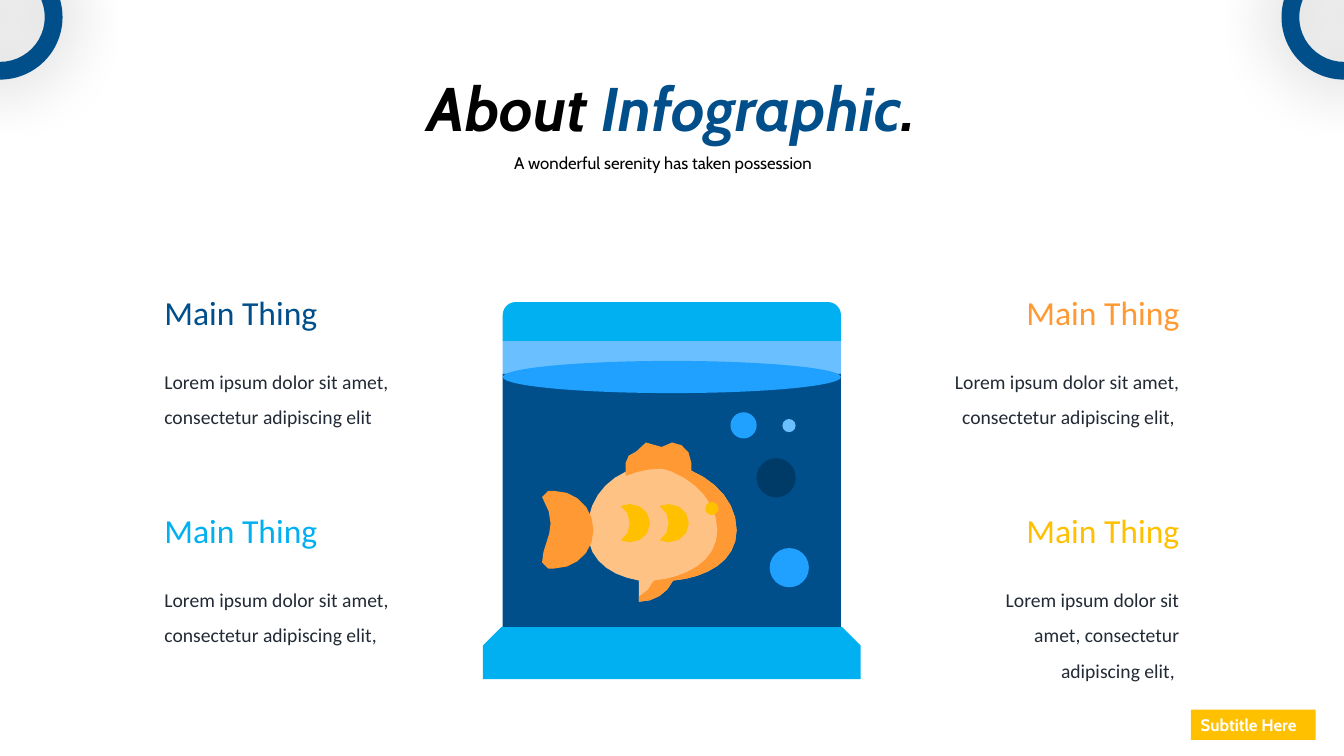
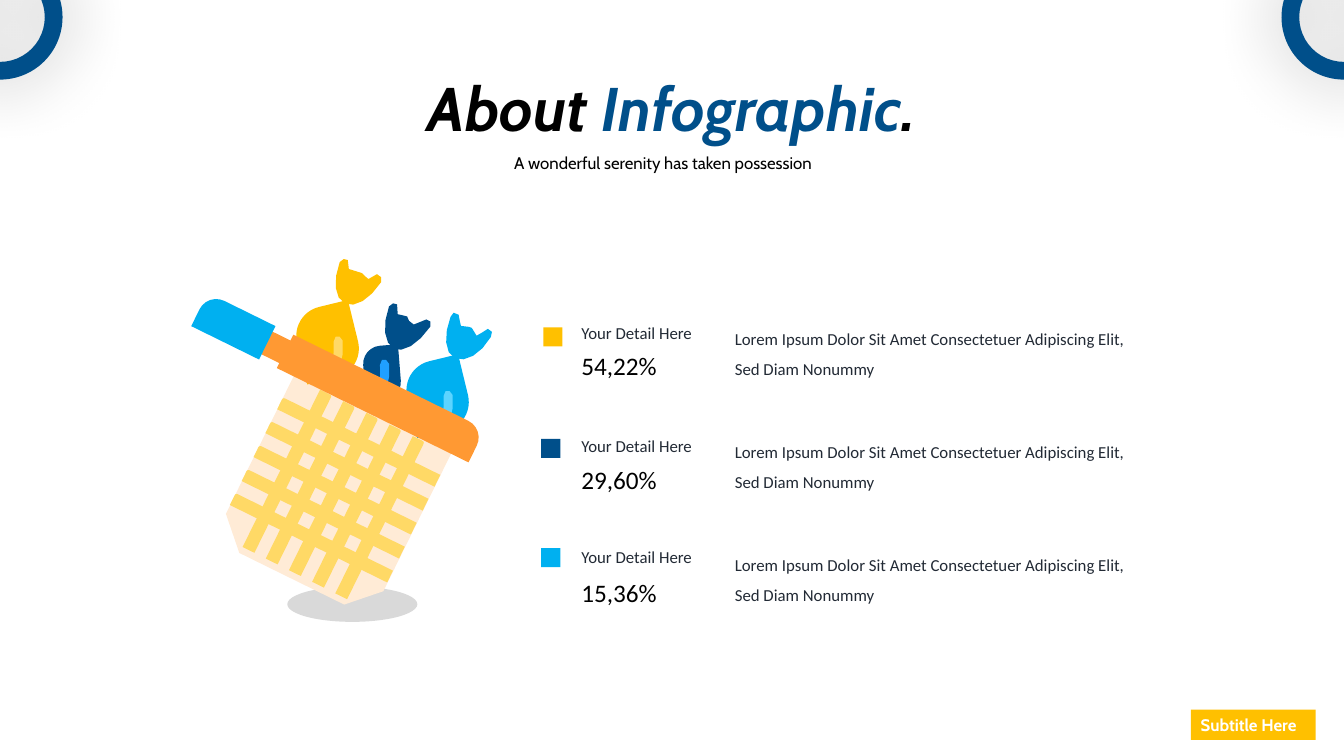
from dataclasses import dataclass
from math import ceil, dist
from typing import NamedTuple

from lxml import etree
from pptx import Presentation
from pptx.dml.color import RGBColor
from pptx.enum.shapes import MSO_SHAPE
from pptx.enum.text import MSO_ANCHOR, MSO_AUTO_SIZE, PP_ALIGN
from pptx.oxml.ns import qn
from pptx.presentation import Presentation as Deck
from pptx.shapes.autoshape import Shape
from pptx.slide import Slide
from pptx.text.text import _Paragraph as Para
from pptx.util import Pt

RECT = MSO_SHAPE.RECTANGLE
OVAL = MSO_SHAPE.OVAL
DONUT = MSO_SHAPE.DONUT
SNIP = MSO_SHAPE.SNIP_2_SAME_RECTANGLE
ROUND = MSO_SHAPE.ROUND_1_RECTANGLE
DOME = MSO_SHAPE.ROUND_2_SAME_RECTANGLE
DROP = MSO_SHAPE.ROUND_2_DIAG_RECTANGLE
LEFT, MID, RIGHT = PP_ALIGN.LEFT, PP_ALIGN.CENTER, PP_ALIGN.RIGHT
TOP = MSO_ANCHOR.TOP
FIXED = MSO_AUTO_SIZE.NONE

COLORS = {
    "black": "000000", "white": "FFFFFF", "ink": "222A35", "grey": "D9D9D9",
    "navy": "004F8A", "deep": "003B68", "cyan": "00B0F0", "aqua": "5DD4FF",
    "blue": "20A0FF", "pale": "6ABFFF", "orange": "FF9933", "peach": "FFC285",
    "cream": "FFEBD6", "gold": "FFC000", "straw": "FFD966",
}
HEAD, BODY = "Cabin", "Calibri"
WIDE, HIGH = 960, 540
GRID = 0.72
CHORD = 14
TILT = 26.2

FISH = (387.2, 316.1)
TRUNK = ("M 193 87 C 193 118 163 134 130 137 C 124 150 111 158 96 158 L 96 137 "
         "C 67 132 45 116 45 87 C 45 61 60 39 83 29 C 94 24 105 22 116 22 "
         "C 127 22 138 24 148 28 C 174 39 193 61 193 87")
SHADE = ("M 148 28 C 138 24 127 22 116 22 C 113 22 109 22 106 23 "
         "C 114 24 121 26 129 29 C 154 39 174 61 174 87 C 174 118 143 134 111 137 "
         "C 108 144 103 149 96 153 L 96 158 C 111 158 124 150 130 137 "
         "C 163 134 193 118 193 87 C 193 61 174 39 148 28")
TAIL = ("M 6 125 L 12 125 C 34 125 51 108 51 87 C 51 65 34 48 12 48 L 6 48 "
        "C 2 48 0 51 0 54 C 19 86 0 97 0 119 C 0 122 2 125 6 125")
FIN = ("M 148 20 L 148 33 C 138 28 127 26 116 26 C 105 26 94 29 83 33 L 83 20 "
       "C 83 9 93 14 103 0 C 111 0 117 10 129 0 C 139 0 148 9 148 20")
SCALE = ("M 87 61 C 84 61 80 62 78 63 C 84 67 87 73 87 80 C 87 87 84 93 78 97 "
         "C 80 99 84 99 87 99 C 98 99 107 91 107 80 C 107 69 98 61 87 61")
GLINT = ("M 2 6 C 3 13 2 20 0 27 C -1 29 -1 32 2 33 C 4 34 7 33 8 31 "
         "C 11 23 12 13 11 5 C 11 3 10 1 8 1 C 7 0 5 0 4 1 C 3 2 2 4 2 6")
TWISTS = {
    "navy": ("M 6 4 C -1 23 1 41 11 46 C 13 47 15 47 18 47 C 27 46 38 37 47 24 "
             "C 48 22 48 21 47 19 C 46 18 45 16 43 17 C 25 29 26 16 24 14 "
             "C 21 10 11 19 14 2 C 13 1 11 0 10 1 C 8 1 7 2 6 4"),
    "cyan": ("M 15 2 C 14 1 12 0 10 0 C 9 1 7 2 7 4 C 0 22 1 40 11 45 "
             "C 22 50 37 41 47 24 C 48 22 48 20 48 19 C 47 17 45 16 44 16 "
             "C 39 16 32 32 28 15 C 27 15 26 15 25 14 C 12 17 18 6 15 2"),
    "gold": ("M 17 2 C 16 1 14 0 13 1 C 11 1 10 2 9 4 C 2 23 4 40 14 45 "
             "C 24 50 39 41 50 24 C 51 22 51 20 50 19 C 49 17 48 16 46 16 "
             "C 33 27 36 16 31 15 C 29 15 28 15 28 14 C 24 10 15 17 17 2"),
}


class Box(NamedTuple):
    left: float
    top: float
    width: float
    height: float


@dataclass(frozen=True)
class Style:
    size: float
    color: str
    font: str = BODY
    align: PP_ALIGN = LEFT
    space: float = 1.0
    inset: bool = True
    bold: bool = False


@dataclass(frozen=True)
class Topic:
    color: str
    left: float
    top: float
    width: float
    align: PP_ALIGN
    words: str


@dataclass(frozen=True)
class Bubble:
    left: float
    top: float
    size: float
    color: str


@dataclass(frozen=True)
class Candy:
    color: str
    shine: str
    body: Box
    turn: float
    twist: tuple[float, float]
    glint: tuple[float, float]


@dataclass(frozen=True)
class Detail:
    color: str
    value: str
    mark: tuple[float, float]
    label: float
    figure: float
    note: float


LOREM = "Lorem ipsum dolor sit amet, consectetur adipiscing elit"
TOPICS = [
    Topic("navy", 117.4, 208.4, 163.4, LEFT, LOREM),
    Topic("cyan", 117.4, 364.3, 169.2, LEFT, LOREM + ","),
    Topic("orange", 673.2, 208.4, 169.2, RIGHT, LOREM + ", "),
    Topic("gold", 684.4, 364.3, 158, RIGHT, LOREM + ", "),
]
BUBBLES = [
    Bubble(540.4, 327.3, 28, "deep"),
    Bubble(521.8, 294.5, 18.7, "blue"),
    Bubble(558.9, 299.3, 9.4, "pale"),
    Bubble(549.8, 391.5, 28, "blue"),
    Bubble(503.8, 358.6, 9.4, "gold"),
]
CANDIES = [
    Candy("cyan", "aqua", Box(287, 261.7, 51.2, 42.5), 76.3,
          (316.8, 223.4), (315.4, 278.6)),
    Candy("navy", "blue", Box(253.4, 253.4, 38.9, 25.9), 85.4,
          (273.6, 216), (270, 256.3)),
    Candy("gold", "straw", Box(208.1, 223.2, 51.8, 42.5), 76.3,
          (236.2, 184.3), (236.9, 239.8)),
]
DETAILS = [
    Detail("gold", "54,22%", (388.1, 233.8), 226.8, 247, 224.2),
    Detail("navy", "29,60%", (386.6, 313.4), 307.8, 327.9, 304.6),
    Detail("cyan", "15,36%", (386.6, 391.5), 387, 409, 385.5),
]


def tint(name: str) -> RGBColor:
    return RGBColor.from_string(COLORS[name])


def paint(shape: Shape, color: str) -> Shape:
    shape.shadow.inherit = False
    shape.fill.solid()
    shape.fill.fore_color.rgb = tint(color)
    shape.line.fill.background()
    return shape


def draw(slide: Slide, kind: MSO_SHAPE, box: Box, color: str,
         turn: float = 0, bends: tuple[float, ...] = ()) -> Shape:
    shape = slide.shapes.add_shape(kind, *map(Pt, box))
    shape.rotation = turn
    for i, bend in enumerate(bends):
        shape.adjustments[i] = bend
    return paint(shape, color)


def trace(data: str) -> list[tuple[float, float]]:
    marks = data.split()
    spots: list[tuple[float, float]] = []
    i = 0
    while i < len(marks):
        count = 6 if marks[i] == "C" else 2
        nums = [float(n) for n in marks[i + 1:i + 1 + count]]
        i += count + 1
        if count == 2:
            spots.append((nums[0], nums[1]))
            continue
        ends = [spots[-1], *zip(nums[::2], nums[1::2])]
        steps = ceil(sum(map(dist, ends, ends[1:])) / CHORD)
        for step in range(1, steps + 1):
            t = step / steps
            u = 1 - t
            parts = (u ** 3, 3 * u * u * t, 3 * u * t * t, t ** 3)
            spots.append((sum(k * p[0] for k, p in zip(parts, ends)),
                          sum(k * p[1] for k, p in zip(parts, ends))))
    return spots[:-1] if spots[-1] == spots[0] else spots


def curve(slide: Slide, data: str, spot: tuple[float, float], color: str) -> None:
    left, top = spot
    pts = [(Pt(left + x * GRID), Pt(top + y * GRID)) for x, y in trace(data)]
    pen = slide.shapes.build_freeform(*pts[0])
    pen.add_line_segments(pts[1:], close=True)
    paint(pen.convert_to_shape(), color)


def format_line(line: Para, style: Style) -> None:
    line.alignment = style.align
    line.line_spacing = style.space
    line.font.name = style.font
    line.font.size = Pt(style.size)
    line.font.bold = style.bold
    line.font.color.rgb = tint(style.color)


def write(slide: Slide, box: Box, words: str, style: Style) -> None:
    frame = slide.shapes.add_textbox(*map(Pt, box)).text_frame
    frame.word_wrap = True
    if not style.inset:
        frame.margin_left = frame.margin_right = Pt(0)
        frame.margin_top = frame.margin_bottom = Pt(0)
    frame.text = words
    format_line(frame.paragraphs[0], style)


def add_glow(shape: Shape) -> None:
    glow = shape._element.spPr.find(qn("a:effectLst"))
    cast = etree.SubElement(glow, qn("a:outerShdw"), blurRad=str(Pt(49)),
                            dist="0", dir="0", algn="ctr", rotWithShape="0")
    shade = etree.SubElement(cast, qn("a:srgbClr"), val=COLORS["black"])
    etree.SubElement(shade, qn("a:alpha"), val="33000")


def add_title(slide: Slide) -> None:
    title = slide.shapes.title
    title.left, title.top, title.width, title.height = map(
        Pt, (170.4, 46.1, 619.2, 60.5))
    frame = title.text_frame
    frame.word_wrap = True
    frame.auto_size = FIXED
    frame.vertical_anchor = TOP
    line = frame.paragraphs[0]
    for words, color in (("About ", "black"), ("Infographic", "navy"), (".", "black")):
        run = line.add_run()
        run.text = words
        run.font.color.rgb = tint(color)
    format_line(line, Style(44, "black", HEAD, MID, bold=True))
    line.font.italic = True


def add_frame(deck: Deck) -> Slide:
    slide = deck.slides.add_slide(deck.slide_layouts[5])
    add_title(slide)
    write(slide, Box(314.6, 98.6, 318.2, 26.6),
          "A wonderful serenity has taken possession",
          Style(12, "black", HEAD, MID, 1.5))
    tag = draw(slide, RECT, Box(850.6, 506.9, 89.3, 21.6), "gold")
    tag.text_frame.word_wrap = False
    tag.text_frame.text = "Subtitle Here"
    format_line(tag.text_frame.paragraphs[0], Style(12, "white", HEAD, bold=True))
    for mid in (0, WIDE):
        add_glow(draw(slide, DONUT, Box(mid - 44.6, -32.4, 89.3, 89.3), "navy",
                      bends=(0.142,)))
    return slide


def draw_tank(slide: Slide) -> None:
    left, width = 359.1, 241.6
    draw(slide, SNIP, Box(344.9, 447.8, 269.8, 37.4), "cyan", bends=(0.355, 0))
    draw(slide, DOME, Box(left, 215.8, width, 27.9), "cyan", bends=(0.33, 0))
    draw(slide, RECT, Box(left, 243.6, width, 23.6), "pale")
    draw(slide, RECT, Box(left, 267.1, width, 180.7), "navy")
    draw(slide, OVAL, Box(left, 257.8, width, 23), "blue")
    for data, color in ((TRUNK, "peach"), (SHADE, "orange"),
                        (TAIL, "orange"), (FIN, "orange")):
        curve(slide, data, FISH, color)
    for i in range(2):
        curve(slide, SCALE, (FISH[0] + i * 27.8, FISH[1]), "gold")
    for dot in BUBBLES:
        draw(slide, OVAL, Box(dot.left, dot.top, dot.size, dot.size), dot.color)


def draw_basket(slide: Slide) -> None:
    draw(slide, OVAL, Box(205.2, 419, 92.9, 25.2), "grey")
    draw(slide, SNIP, Box(176.4, 281.5, 125.3, 139), "cream", TILT + 180)
    draw(slide, RECT, Box(185.8, 241.9, 33.8, 18), "orange", TILT)
    draw(slide, ROUND, Box(153.4, 205.9, 26.6, 54), "cyan", TILT + 270, (0.5,))
    for left, top, across, down, turn in ((251.6, 253.1, -8.46, 17.1, TILT + 270),
                                          (266.7, 307.1, -16.56, -8.28, TILT)):
        for i in range(5):
            draw(slide, ROUND, Box(left + i * across, top + i * down, 9.4, 125.3),
                 "straw", turn)
    for sweet in CANDIES:
        draw(slide, DROP, sweet.body, sweet.color, sweet.turn, (0, 0.5))
        curve(slide, TWISTS[sweet.color], sweet.twist, sweet.color)
        curve(slide, GLINT, sweet.glint, sweet.shine)
    draw(slide, ROUND, Box(195.8, 271.4, 152.6, 26.6), "orange", TILT, (0.5,))


def add_topics(slide: Slide) -> None:
    for item in TOPICS:
        write(slide, Box(item.left, item.top, item.width, 28.8), "Main Thing",
              Style(24, item.color, align=item.align, inset=False))
        write(slide, Box(item.left, item.top + 47.2, item.width, 73.4), item.words,
              Style(14, "ink", align=item.align, space=1.5, inset=False))


def add_details(slide: Slide) -> None:
    for row in DETAILS:
        draw(slide, RECT, Box(*row.mark, 13.7, 13.7), row.color)
        write(slide, Box(408.2, row.label, 135.4, 21.6), "Your Detail Here",
              Style(12, "ink"))
        write(slide, Box(408.2, row.figure, 111.6, 28.8), row.value,
              Style(18, "black"))
        write(slide, Box(517.8, row.note, 303.8, 49),
              "Lorem Ipsum Dolor Sit Amet Consectetuer Adipiscing Elit, "
              "Sed Diam Nonummy", Style(12, "ink", space=1.5))


def main() -> None:
    deck = Presentation()
    deck.slide_width, deck.slide_height = Pt(WIDE), Pt(HIGH)
    tank = add_frame(deck)
    draw_tank(tank)
    add_topics(tank)
    basket = add_frame(deck)
    draw_basket(basket)
    add_details(basket)
    deck.save("out.pptx")


if __name__ == "__main__":
    main()
